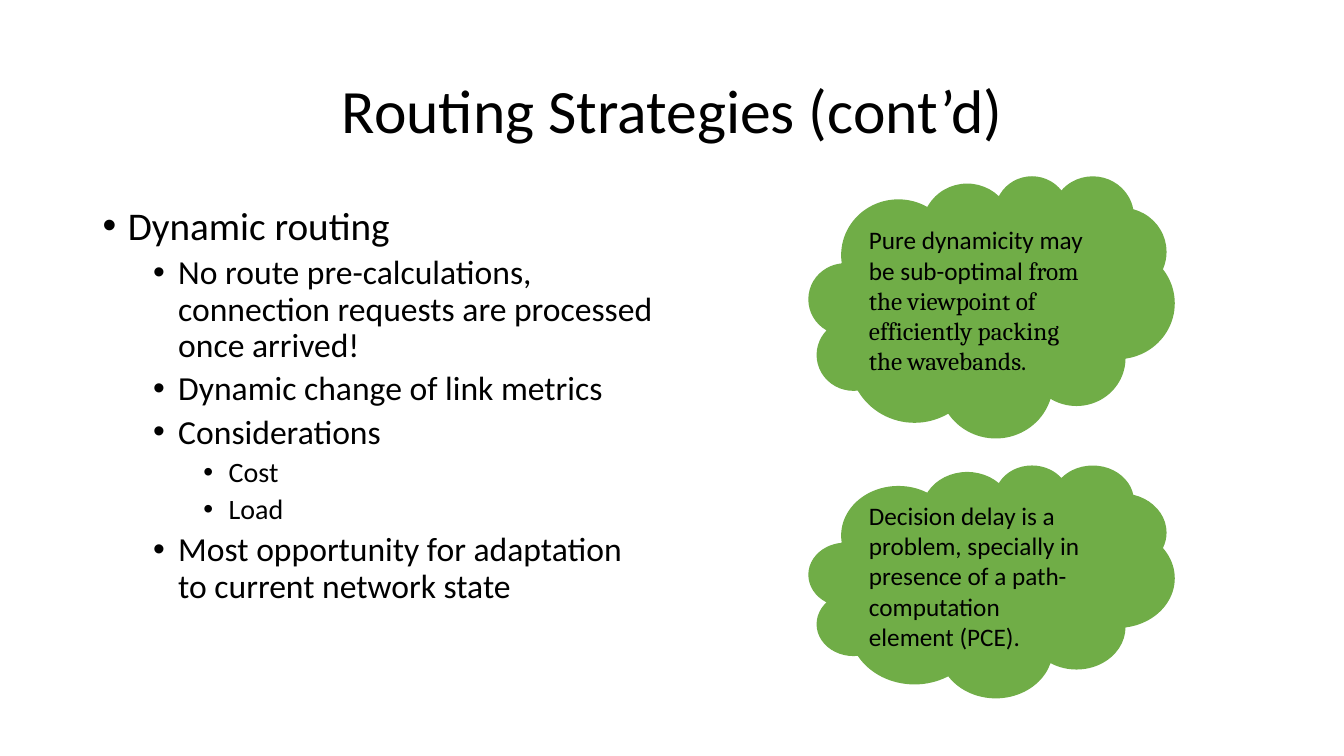
"""Build a slide on dynamic routing with two cloud remarks."""
import pptx
import pptx.util
import pptx.dml.color
import pptx.enum.shapes
import pptx.enum.text
import lxml.etree
import pptx.oxml.ns

WIDE, HIGH = 13.33, 7.5
SIZES = (28, 24, 20)
ALIGN = pptx.enum.text.PP_ALIGN
ANCHOR = pptx.enum.text.MSO_ANCHOR
POINTS = (
    (0, "Dynamic routing"),
    (1, "No route pre-calculations, connection requests are processed once arrived!"),
    (1, "Dynamic change of link metrics"),
    (1, "Considerations"),
    (2, "Cost"),
    (2, "Load"),
    (1, "Most opportunity for adaptation to current network state"),
)


def color(code):
    """Turn a hex string into a colour."""
    return pptx.dml.color.RGBColor.from_string(code)


def area(left, top, width, height):
    """Turn percentages of the slide into lengths."""
    inch = pptx.util.Inches
    return (inch(left * WIDE / 100), inch(top * HIGH / 100),
            inch(width * WIDE / 100), inch(height * HIGH / 100))


def add_run(para, text, size, face="Calibri"):
    """Add one run of black text."""
    run = para.add_run()
    run.text = text
    run.font.size = pptx.util.Pt(size)
    run.font.name = face
    run.font.color.rgb = color("000000")


def add_box(slide, place, anchor):
    """Add a wrapping text box and return its frame."""
    frame = slide.shapes.add_textbox(*area(*place)).text_frame
    frame.word_wrap = True
    frame.vertical_anchor = anchor
    return frame


def add_title(slide, text):
    """Add the centred title."""
    para = add_box(slide, (6.9, 5.33, 86.27, 19.33), ANCHOR.MIDDLE).paragraphs[0]
    para.alignment = ALIGN.CENTER
    para.line_spacing = 0.9
    add_run(para, text, 44)


def set_bullet(para, level):
    """Give a paragraph a bullet and a hanging indent."""
    props = para._p.get_or_add_pPr()
    props.set("marL", str(pptx.util.Inches(0.25 + level / 2)))
    props.set("indent", str(pptx.util.Inches(-0.25)))
    for tag, key, value in (("a:buFont", "typeface", "Arial"),
                            ("a:buChar", "char", "•")):
        lxml.etree.SubElement(props, pptx.oxml.ns.qn(tag)).set(key, value)


def add_list(slide, items):
    """Add the bulleted list."""
    frame = add_box(slide, (6.9, 26.67, 42.53, 63.47), ANCHOR.TOP)
    for index, (level, text) in enumerate(items):
        para = frame.add_paragraph() if index else frame.paragraphs[0]
        para.level = level
        para.line_spacing = 0.9
        para.space_before = pptx.util.Pt(5 if level else 10)
        set_bullet(para, level)
        add_run(para, text, SIZES[level])


def add_cloud(slide, top, height, *runs):
    """Add a green cloud holding runs of text and font."""
    kind = pptx.enum.shapes.MSO_SHAPE.CLOUD
    cloud = slide.shapes.add_shape(kind, *area(60.17, top, 27.23, height))
    cloud.shadow.inherit = False
    cloud.fill.solid()
    cloud.fill.fore_color.rgb = color("70AD47")
    cloud.line.fill.background()
    frame = cloud.text_frame
    frame.word_wrap = True
    frame.vertical_anchor = ANCHOR.MIDDLE
    para = frame.paragraphs[0]
    para.alignment = ALIGN.LEFT
    for text, face in runs:
        add_run(para, text, 18, face)


def main():
    """Build and save the slide."""
    deck = pptx.Presentation()
    deck.slide_width = pptx.util.Inches(WIDE)
    deck.slide_height = pptx.util.Inches(HIGH)
    slide = deck.slides.add_slide(deck.slide_layouts[6])
    add_title(slide, "Routing Strategies (cont’d)")
    add_list(slide, POINTS)
    add_cloud(slide, 23.2, 34.67,
              ("Pure dynamicity may be sub-optimal ", "Calibri"),
              ("from the viewpoint of efficiently packing the wavebands.", "Cambria"))
    add_cloud(slide, 61.47, 30.8,
              ("Decision delay is a problem, specially in presence of "
               "a path-computation element (PCE).", "Calibri"))
    deck.save("out.pptx")


if __name__ == "__main__":
    main()
